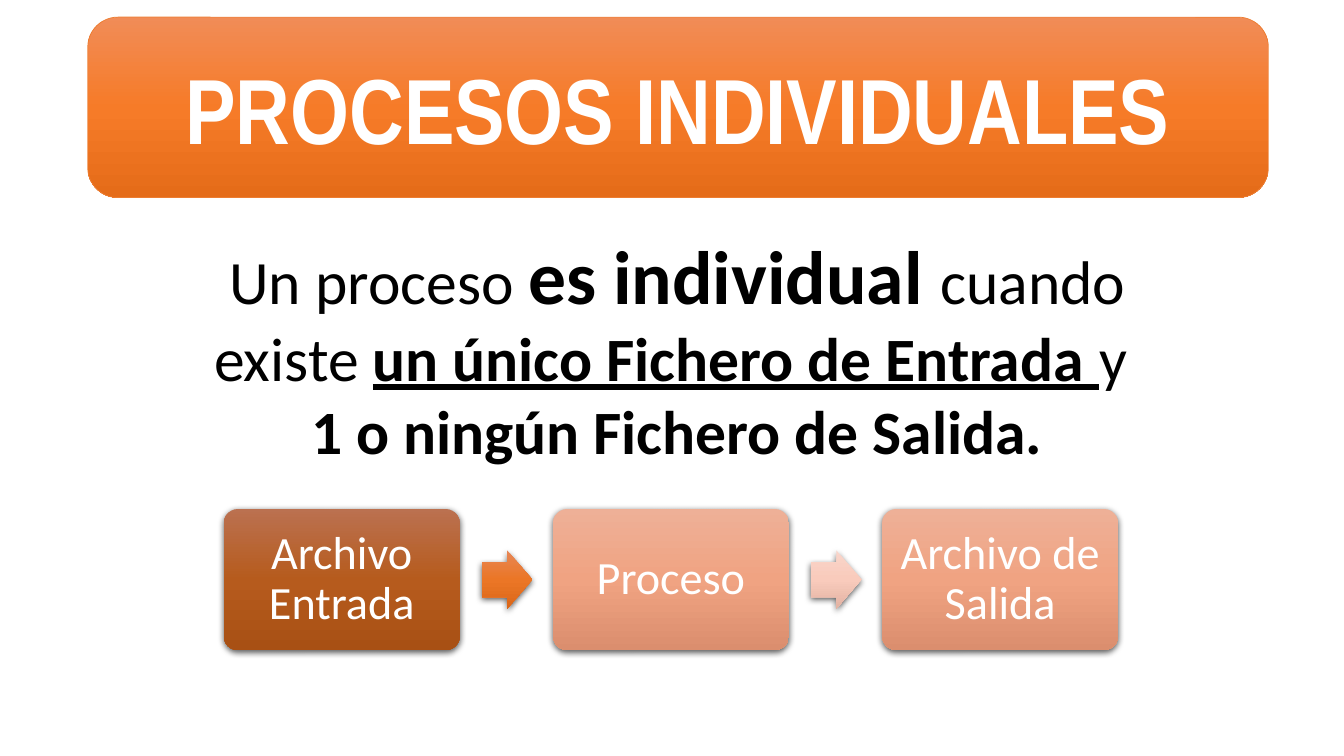
from dataclasses import dataclass

import lxml.etree
import pptx
import pptx.dml.color
import pptx.enum.shapes
import pptx.enum.text
import pptx.oxml.ns
import pptx.util

Inches = pptx.util.Inches
Pt = pptx.util.Pt
Shape = pptx.enum.shapes.MSO_SHAPE
Align = pptx.enum.text.PP_ALIGN
Anchor = pptx.enum.text.MSO_ANCHOR
qn = pptx.oxml.ns.qn
color = pptx.dml.color.RGBColor.from_string


@dataclass(frozen=True)
class Theme:
    white: str = "FFFFFF"
    black: str = "000000"
    banner_line: str = "ED7D31"
    banner: tuple = ("F18C57", "F67B28", "E56C19")
    brown: tuple = ("BB7150", "B65B1D", "A85014")
    salmon: tuple = ("EEB097", "F0A382", "DB8E6E")
    orange_arrow: tuple = ("E78756", "EB7626", "DB6718")
    pale_arrow: tuple = ("F9D5CA", "F9CBBC", "E2B2A2")
    title_font: str = "Arial Narrow"
    body_font: str = "Calibri"
    title_size: int = 66
    body_size: int = 44
    emphasis_size: int = 54
    step_size: int = 33


theme = Theme()


def add_gradient_shape(kind, left, top, width, height, colors, shadow=True):
    """Add a shape with a vertical three-stop gradient and an optional soft shadow."""
    shape = page.shapes.add_shape(kind, Inches(left), Inches(top), Inches(width), Inches(height))
    shape.fill.gradient()
    shape.fill.gradient_angle = 270
    stops = shape.element.spPr.find(".//" + qn("a:gsLst"))
    for stop in list(stops):
        stops.remove(stop)
    for position, value in zip((0, 50000, 100000), colors):
        stop = lxml.etree.SubElement(stops, qn("a:gs"), pos=str(position))
        lxml.etree.SubElement(stop, qn("a:srgbClr"), val=value)
    shape.line.fill.background()
    shape.shadow.inherit = False
    if shadow:
        effects = shape.element.spPr.find(qn("a:effectLst"))
        outer = lxml.etree.SubElement(effects, qn("a:outerShdw"), blurRad=str(Pt(4.5)),
                                      dist=str(Pt(1.5)), dir="5400000",
                                      algn="ctr", rotWithShape="0")
        tint = lxml.etree.SubElement(outer, qn("a:srgbClr"), val=theme.black)
        lxml.etree.SubElement(tint, qn("a:alpha"), val="63000")
    return shape


def write_centered(shape, text, font, size, bold=False):
    """Write one white paragraph in the middle of a shape."""
    shape.text_frame.word_wrap = True
    shape.text_frame.vertical_anchor = Anchor.MIDDLE
    para = shape.text_frame.paragraphs[0]
    para.text = text
    para.alignment = Align.CENTER
    para.font.name = font
    para.font.size = Pt(size)
    para.font.bold = bold
    para.font.color.rgb = color(theme.white)
    return para


deck = pptx.Presentation()
deck.slide_width = Inches(13.33)
deck.slide_height = Inches(7.5)
page = deck.slides.add_slide(deck.slide_layouts[6])

# Title banner
banner = add_gradient_shape(Shape.ROUNDED_RECTANGLE, 0.87, 0.17, 11.71, 1.79,
                            theme.banner, shadow=False)
banner.line.color.rgb = color(theme.banner_line)
banner.line.width = Pt(0.5)
write_centered(banner, "PROCESOS INDIVIDUALES", theme.title_font, theme.title_size, bold=True)

# Definition: text, size, bold, underline
definition = [
    [("Un proceso ", theme.body_size, False, False),
     ("es individual ", theme.emphasis_size, True, False),
     ("cuando existe ", theme.body_size, False, False),
     ("un único Fichero de Entrada ", theme.body_size, True, True),
     ("y ", theme.body_size, False, False)],
    [("1 o ningún Fichero de Salida.", theme.body_size, True, False)],
]
box = page.shapes.add_textbox(Inches(1.55), Inches(2.22), Inches(10.34), Inches(2.49))
frame = box.text_frame
frame.word_wrap = True
frame.auto_size = pptx.enum.text.MSO_AUTO_SIZE.SHAPE_TO_FIT_TEXT
for index, spans in enumerate(definition):
    para = frame.add_paragraph() if index else frame.paragraphs[0]
    para.alignment = Align.CENTER
    para.font.name = theme.body_font
    para.font.color.rgb = color(theme.black)
    for text, size, bold, underline in spans:
        span = para.add_run()
        span.text = text
        span.font.size = Pt(size)
        span.font.bold = bold
        span.font.underline = underline

# Process flow: each step with the arrow that follows it
flow_left, flow_pitch = 2.22, 3.265
steps = [
    ("Archivo Entrada", theme.brown, theme.orange_arrow),
    ("Proceso", theme.salmon, theme.pale_arrow),
    ("Archivo de Salida", theme.salmon, None),
]
for index, (label, step_colors, arrow_colors) in enumerate(steps):
    left = flow_left + index * flow_pitch
    step = add_gradient_shape(Shape.ROUNDED_RECTANGLE, left, 5.05, 2.34, 1.4, step_colors)
    step.adjustments[0] = 0.1
    frame = step.text_frame
    frame.margin_left = frame.margin_right = Inches(0.14)
    frame.margin_top = frame.margin_bottom = Inches(0.14)
    para = write_centered(step, label, theme.body_font, theme.step_size)
    para.line_spacing = 0.9
    if arrow_colors:
        arrow = add_gradient_shape(Shape.RIGHT_ARROW, left + 2.56, 5.46, 0.5, 0.58, arrow_colors)
        arrow.adjustments[0] = 0.6
        arrow.adjustments[1] = 0.5

deck.save("out.pptx")
